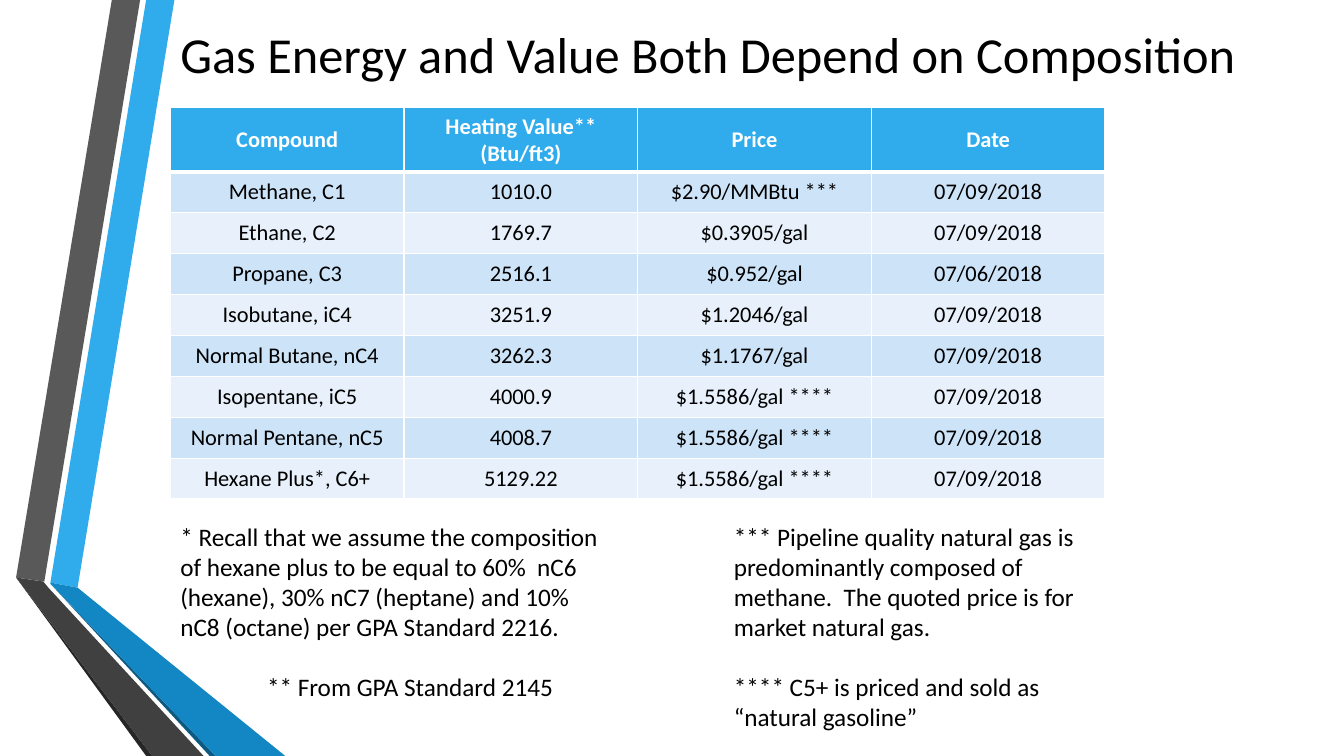
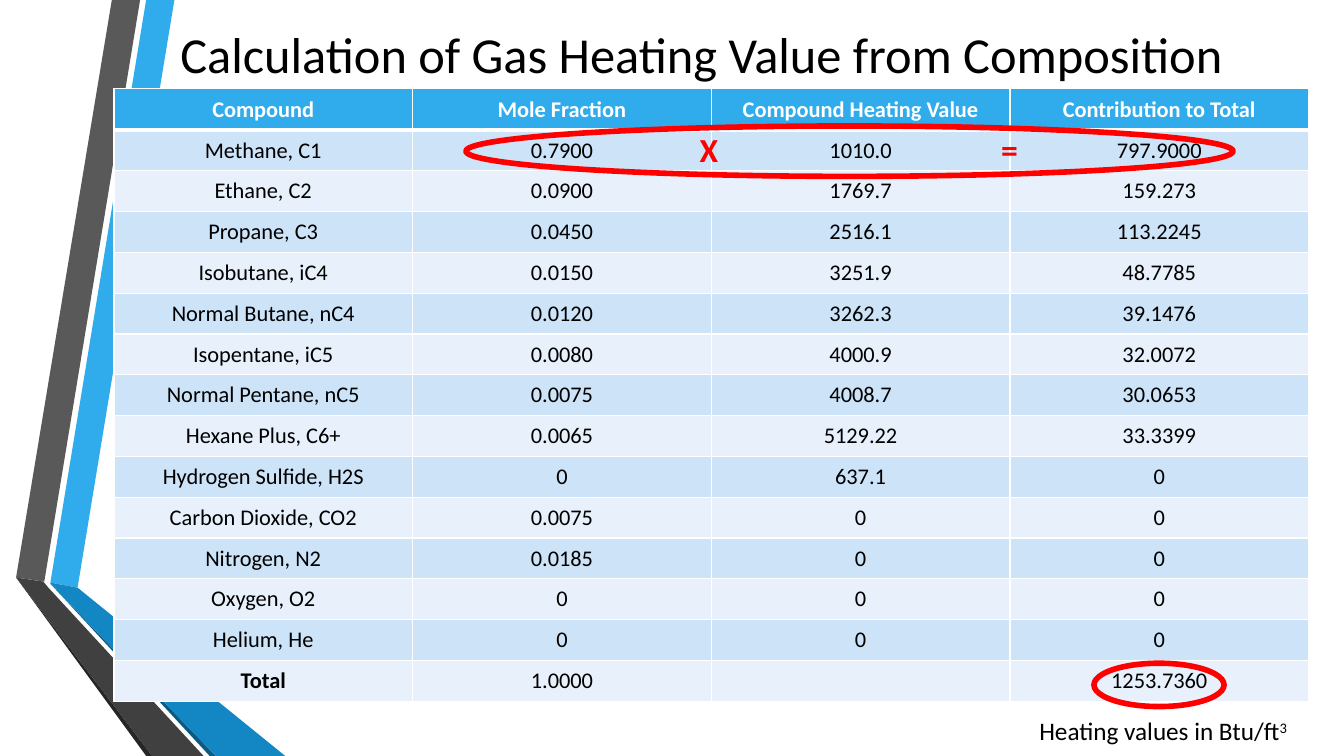
import dataclasses

import lxml.etree
import pptx
import pptx.dml.color
import pptx.enum.shapes
import pptx.enum.text
import pptx.oxml.ns
import pptx.presentation
import pptx.shapes.autoshape
import pptx.slide
import pptx.table
import pptx.text.text
import pptx.util

Inches = pptx.util.Inches
RGBColor = pptx.dml.color.RGBColor

FONT = "Calibri"
BLACK = RGBColor(0x00, 0x00, 0x00)
WHITE = RGBColor(0xFF, 0xFF, 0xFF)
RED = RGBColor(0xFF, 0x00, 0x00)
BLUE = RGBColor(0x30, 0xAC, 0xEC)
MEDIUM_BLUE = RGBColor(0x12, 0x87, 0xC3)
DARK_BLUE = RGBColor(0x0C, 0x5A, 0x82)
GREY = RGBColor(0x59, 0x59, 0x59)
DARK_GREY = RGBColor(0x40, 0x40, 0x40)
DEEP_GREY = RGBColor(0x26, 0x26, 0x26)
ROW_FILLS = (RGBColor(0xCD, 0xE3, 0xF8), RGBColor(0xE8, 0xF1, 0xFB))


@dataclasses.dataclass(frozen=True)
class Band:
    color: RGBColor
    points: tuple[tuple[float, float], ...]


@dataclasses.dataclass(frozen=True)
class Label:
    text: str
    left: float
    top: float
    width: float
    height: float
    size: int = 18
    color: RGBColor = BLACK
    bold: bool = False
    wrap: bool = True
    superscript: str = ""


@dataclasses.dataclass(frozen=True)
class Grid:
    left: float
    top: float
    width: float
    height: float
    header_height: float
    rows: tuple[tuple[str, ...], ...]


@dataclasses.dataclass(frozen=True)
class Ring:
    left: float
    top: float
    width: float
    height: float


BANDS = (
    Band(BLUE, ((0.5, 5.78), (0.77, 5.83), (1.73, 0), (1.45, 0))),
    Band(GREY, ((1.39, 0), (1.11, 0), (0.16, 5.73), (0.44, 5.77))),
    Band(DEEP_GREY, ((0.16, 5.73), (1.45, 7.5), (1.51, 7.5))),
    Band(DARK_BLUE, ((0.5, 5.79), (2.08, 7.5), (2.14, 7.5))),
    Band(MEDIUM_BLUE, ((0.5, 5.79), (2.14, 7.5), (2.83, 7.5), (0.77, 5.83), (0.5, 5.78))),
    Band(DARK_GREY, ((2.02, 7.5), (0.48, 5.83), (0.43, 5.77), (0.16, 5.73), (1.51, 7.5))),
)

PRICE_GRID = Grid(1.69, 1.07, 9.27, 3.88, 0.63, (
    ("Compound", "Heating Value** (Btu/ft3)", "Price", "Date"),
    ("Methane, C1", "1010.0", "$2.90/MMBtu ***", "07/09/2018"),
    ("Ethane, C2", "1769.7", "$0.3905/gal", "07/09/2018"),
    ("Propane, C3", "2516.1", "$0.952/gal", "07/06/2018"),
    ("Isobutane, iC4", "3251.9", "$1.2046/gal", "07/09/2018"),
    ("Normal Butane, nC4", "3262.3", "$1.1767/gal", "07/09/2018"),
    ("Isopentane, iC5", "4000.9", "$1.5586/gal ****", "07/09/2018"),
    ("Normal Pentane, nC5", "4008.7", "$1.5586/gal ****", "07/09/2018"),
    ("Hexane Plus*, C6+", "5129.22", "$1.5586/gal ****", "07/09/2018"),
))

HEATING_GRID = Grid(1.13, 0.88, 11.85, 6.08, 0.41, (
    ("Compound", "Mole Fraction", "Compound Heating Value", "Contribution to Total"),
    ("Methane, C1", "0.7900", "1010.0", "797.9000"),
    ("Ethane, C2", "0.0900", "1769.7", "159.273"),
    ("Propane, C3", "0.0450", "2516.1", "113.2245"),
    ("Isobutane, iC4", "0.0150", "3251.9", "48.7785"),
    ("Normal Butane, nC4", "0.0120", "3262.3", "39.1476"),
    ("Isopentane, iC5", "0.0080", "4000.9", "32.0072"),
    ("Normal Pentane, nC5", "0.0075", "4008.7", "30.0653"),
    ("Hexane Plus, C6+", "0.0065", "5129.22", "33.3399"),
    ("Hydrogen Sulfide, H2S", "0", "637.1", "0"),
    ("Carbon Dioxide, CO2", "0.0075", "0", "0"),
    ("Nitrogen, N2", "0.0185", "0", "0"),
    ("Oxygen, O2", "0", "0", "0"),
    ("Helium, He", "0", "0", "0"),
    ("Total", "1.0000", "", "1253.7360"),
))

FOOTNOTES = (
    Label(
        "* Recall that we assume the composition of hexane plus to be equal to 60%  nC6 "
        "(hexane), 30% nC7 (heptane) and 10% nC8 (octane) per GPA Standard 2216.",
        1.69, 5.12, 4.47, 1.31,
    ),
    Label(
        "*** Pipeline quality natural gas is predominantly composed of methane.  "
        "The quoted price is for market natural gas.",
        7.18, 5.12, 3.78, 1.31,
    ),
    Label("**** C5+ is priced and sold as “natural gasoline”", 7.18, 6.61, 3.78, 0.71),
    Label("** From GPA Standard 2145", 2.55, 6.61, 3.78, 0.4),
)

CALCULATION_LABELS = (
    Label("Heating values in Btu/ft", 10.21, 7.05, 2.76, 0.4, wrap=False, superscript="3"),
    Label("X", 6.84, 1.23, 0.42, 0.5, 24, RED, True, False),
    Label("=", 9.83, 1.23, 0.38, 0.5, 24, RED, True, False),
)

RINGS = (Ring(4.62, 1.25, 7.61, 0.5), Ring(10.85, 6.58, 1.29, 0.43))


def format_runs(
    paragraph: pptx.text.text._Paragraph, size: int, color: RGBColor, bold: bool
) -> None:
    for run in paragraph.runs:
        run.font.name = FONT
        run.font.size = pptx.util.Pt(size)
        run.font.bold = bold
        run.font.color.rgb = color


def draw_band(slide: pptx.slide.Slide, band: Band) -> None:
    start, *others = [(Inches(x), Inches(y)) for x, y in band.points]
    builder = slide.shapes.build_freeform(*start)
    builder.add_line_segments(others, close=True)
    shape = builder.convert_to_shape()
    shape.shadow.inherit = False
    shape.fill.solid()
    shape.fill.fore_color.rgb = band.color
    shape.line.fill.background()


def draw_label(slide: pptx.slide.Slide, label: Label) -> None:
    shape = slide.shapes.add_textbox(
        Inches(label.left), Inches(label.top), Inches(label.width), Inches(label.height)
    )
    text_frame = shape.text_frame
    text_frame.text = label.text
    text_frame.word_wrap = label.wrap
    text_frame.auto_size = pptx.enum.text.MSO_AUTO_SIZE.SHAPE_TO_FIT_TEXT
    paragraph = text_frame.paragraphs[0]
    if label.superscript:
        run = paragraph.add_run()
        run.text = label.superscript
        run._r.get_or_add_rPr().set("baseline", "30000")
    format_runs(paragraph, label.size, label.color, label.bold)


def set_borders(cell: pptx.table._Cell, top: int, bottom: int) -> None:
    properties = cell._tc.get_or_add_tcPr()
    qualified = pptx.oxml.ns.qn
    for side, points in (("L", 1), ("R", 1), ("T", top), ("B", bottom)):
        line = lxml.etree.SubElement(
            properties, qualified(f"a:ln{side}"), w=str(pptx.util.Pt(points))
        )
        fill = lxml.etree.SubElement(line, qualified("a:solidFill"))
        lxml.etree.SubElement(fill, qualified("a:srgbClr"), val=str(WHITE))


def draw_grid(slide: pptx.slide.Slide, grid: Grid) -> None:
    column_count = len(grid.rows[0])
    table = slide.shapes.add_table(
        len(grid.rows), column_count,
        Inches(grid.left), Inches(grid.top), Inches(grid.width), Inches(grid.height),
    ).table
    for column in table.columns:
        column.width = Inches(grid.width / column_count)
    body_height = (grid.height - grid.header_height) / (len(grid.rows) - 1)
    for row_index, values in enumerate(grid.rows):
        header = row_index == 0
        table.rows[row_index].height = Inches(grid.header_height if header else body_height)
        for column_index, value in enumerate(values):
            cell = table.cell(row_index, column_index)
            set_borders(cell, 3 if row_index == 1 else 1, 3 if header else 1)
            cell.fill.solid()
            cell.fill.fore_color.rgb = BLUE if header else ROW_FILLS[(row_index - 1) % 2]
            cell.vertical_anchor = pptx.enum.text.MSO_ANCHOR.MIDDLE
            cell.text_frame.text = value
            paragraph = cell.text_frame.paragraphs[0]
            paragraph.alignment = pptx.enum.text.PP_ALIGN.CENTER
            format_runs(paragraph, 16, WHITE if header else BLACK, header or value == "Total")


def draw_ring(slide: pptx.slide.Slide, ring: Ring) -> None:
    shape = slide.shapes.add_shape(
        pptx.enum.shapes.MSO_SHAPE.OVAL,
        Inches(ring.left), Inches(ring.top), Inches(ring.width), Inches(ring.height),
    )
    shape.shadow.inherit = False
    shape.fill.background()
    shape.line.color.rgb = RED
    shape.line.width = pptx.util.Pt(4)


def add_slide(
    presentation: pptx.presentation.Presentation,
    title: str,
    grid: Grid,
    labels: tuple[Label, ...],
    rings: tuple[Ring, ...] = (),
) -> None:
    slide = presentation.slides.add_slide(presentation.slide_layouts[6])
    for band in BANDS:
        draw_band(slide, band)
    draw_label(slide, Label(title, 1.69, 0.18, 10.92, 0.71, size=36))
    draw_grid(slide, grid)
    for label in labels:
        draw_label(slide, label)
    for ring in rings:
        draw_ring(slide, ring)


def main() -> None:
    presentation = pptx.Presentation()
    presentation.slide_width = Inches(13.33)
    presentation.slide_height = Inches(7.5)
    add_slide(
        presentation,
        "Gas Energy and Value Both Depend on Composition",
        PRICE_GRID,
        FOOTNOTES,
    )
    add_slide(
        presentation,
        "Calculation of Gas Heating Value from Composition",
        HEATING_GRID,
        CALCULATION_LABELS,
        RINGS,
    )
    presentation.save("out.pptx")


if __name__ == "__main__":
    main()
